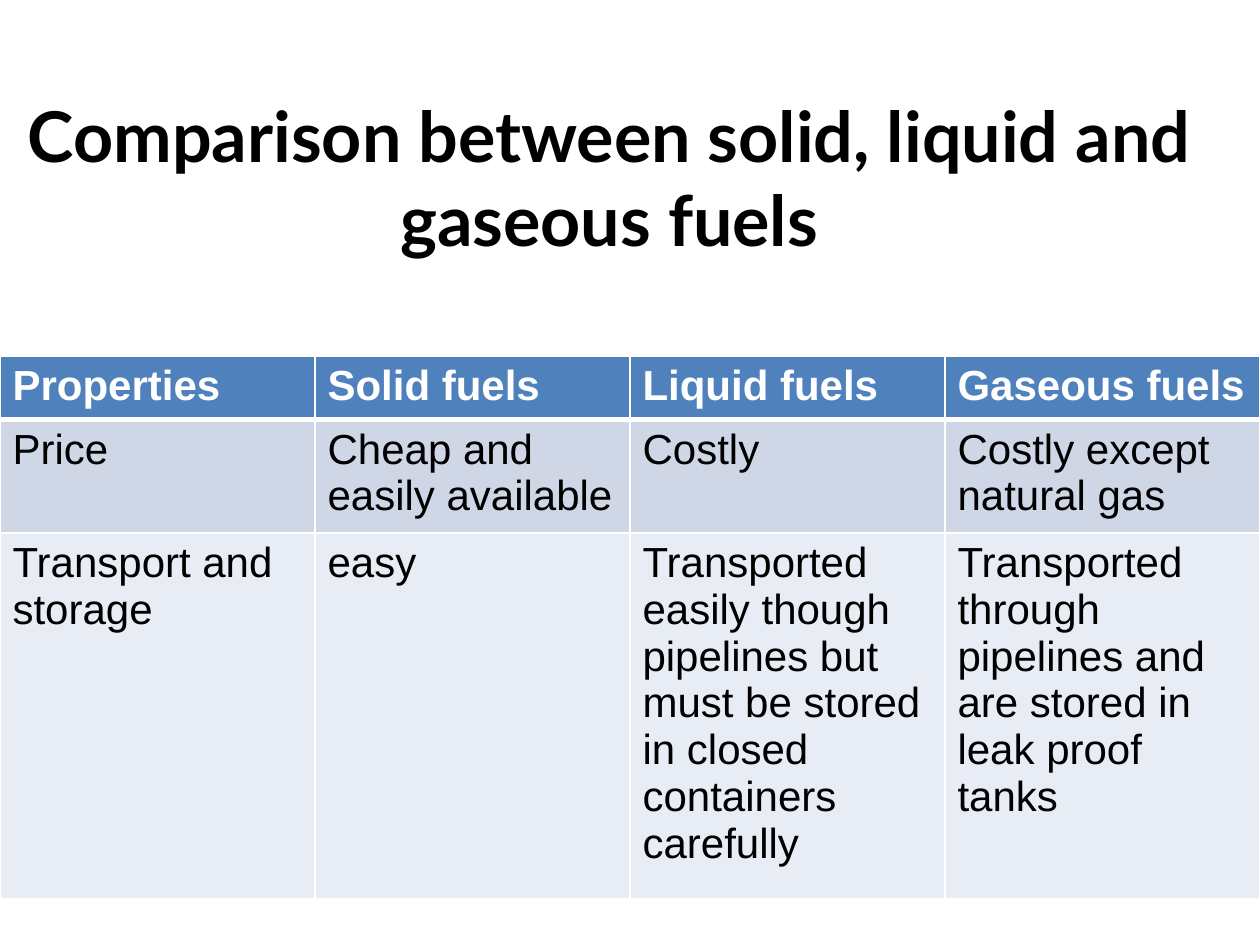
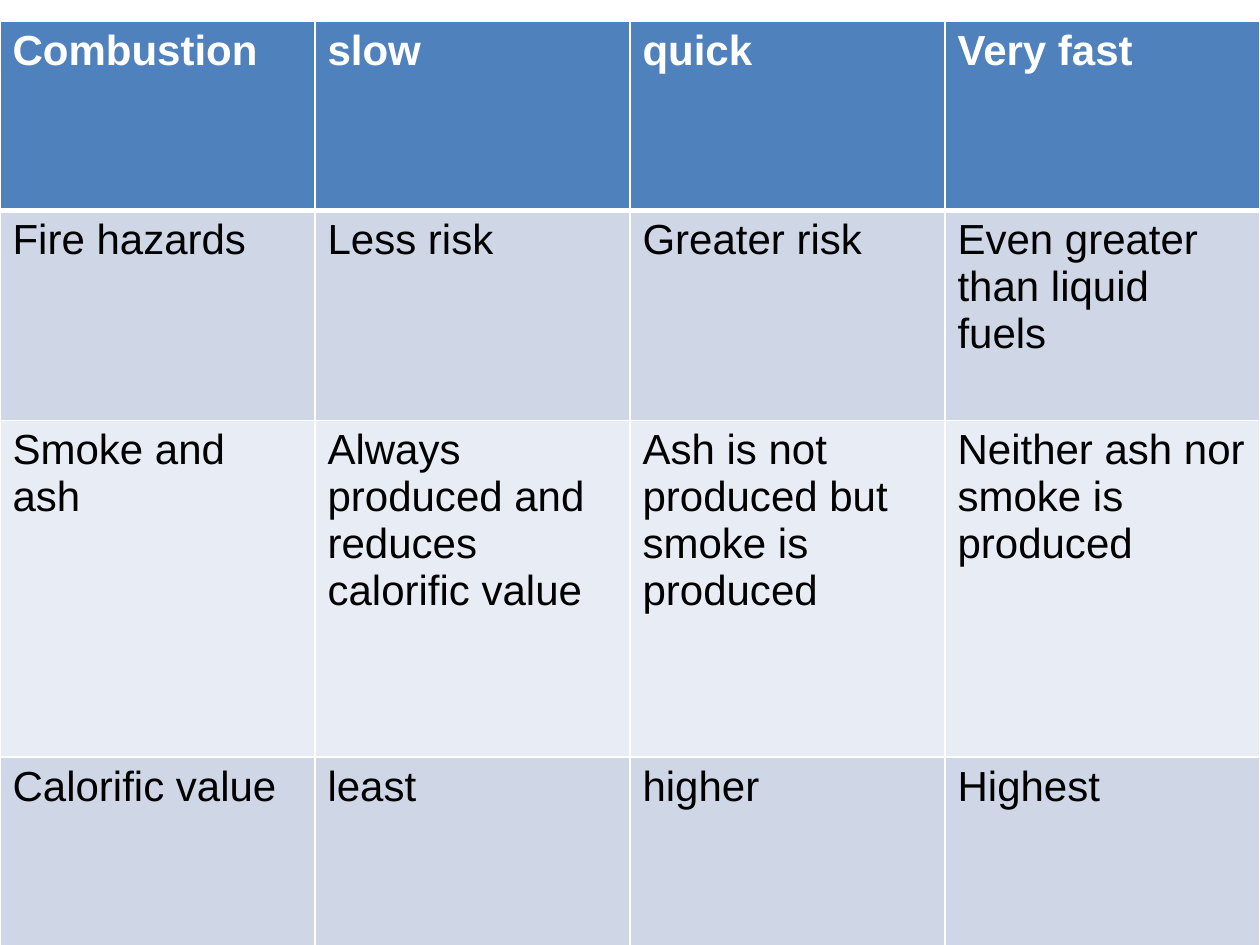
from dataclasses import dataclass

from lxml import etree
from pptx import Presentation
from pptx import util as u
from pptx.dml import color
from pptx.enum import text as t
from pptx.oxml import ns

HEADING = "Comparison between solid, liquid and gaseous fuels"
COMPARISONS = [
    {
        "heading": HEADING,
        "top": 7.19,
        "heights": [1.17, 2.03, 6.27],
        "rows": [
            ["Properties", "Solid fuels", "Liquid fuels", "Gaseous fuels"],
            ["Price", "Cheap and easily available", "Costly", "Costly except natural gas"],
            [
                "Transport and storage",
                "easy",
                "Transported easily though pipelines but must be stored in closed containers carefully",
                "Transported through pipelines and are stored in leak proof tanks",
            ],
        ],
    },
    {
        "heading": None,
        "top": 0.43,
        "heights": [3.81, 4.24, 6.78, 3.81],
        "rows": [
            ["Combustion", "slow", "quick", "Very fast"],
            ["Fire hazards", "Less risk", "Greater risk", "Even greater than liquid fuels"],
            [
                "Smoke and ash",
                "Always produced and reduces calorific value",
                "Ash is not produced but smoke is produced",
                "Neither ash nor smoke is produced",
            ],
            ["Calorific value", "least", "higher", "Highest"],
        ],
    },
]


@dataclass(frozen=True)
class Theme:
    white: str = "FFFFFF"
    ink: str = "000000"
    header: str = "4F81BD"
    bands: tuple = ("E8ECF4", "CFD7E7")
    heading_font: str = "Lato"
    body_font: str = "Arial"
    heading_size: int = 40
    body_size: int = 24
    rule: int = 1
    header_rule: int = 3


THEME = Theme()
PAGE_WIDTH, PAGE_HEIGHT = u.Cm(25.4), u.Cm(19.05)


def write(frame, words, font=THEME.body_font, size=THEME.body_size,
          ink=THEME.ink, bold=False, align=t.PP_ALIGN.LEFT):
    paragraph = frame.paragraphs[0]
    paragraph.alignment = align
    run = paragraph.add_run()
    run.text = words
    run.font.name = font
    run.font.size = u.Pt(size)
    run.font.bold = bold
    run.font.color.rgb = color.RGBColor.from_string(ink)


def rule_cell(cell, row):
    widths = {
        "lnL": THEME.rule,
        "lnR": THEME.rule,
        "lnT": THEME.header_rule if row == 1 else THEME.rule,
        "lnB": THEME.header_rule if row == 0 else THEME.rule,
    }
    properties = cell._tc.get_or_add_tcPr()
    for side, width in widths.items():
        edge = etree.SubElement(properties, ns.qn(f"a:{side}"), w=str(u.Pt(width)))
        paint = etree.SubElement(edge, ns.qn("a:solidFill"))
        etree.SubElement(paint, ns.qn("a:srgbClr"), val=THEME.white)


def add_heading(slide, words):
    box = slide.shapes.add_textbox(0, 0, u.Cm(24.56), u.Cm(18.21))
    frame = box.text_frame
    frame.word_wrap = True
    frame.vertical_anchor = t.MSO_ANCHOR.MIDDLE
    frame.margin_bottom = u.Cm(11.2)
    write(frame, words, font=THEME.heading_font, size=THEME.heading_size,
          bold=True, align=t.PP_ALIGN.CENTER)


def add_comparison(slide, top, heights, rows):
    columns = len(rows[0])
    table = slide.shapes.add_table(len(rows), columns, 0, u.Cm(top),
                                   PAGE_WIDTH, u.Cm(sum(heights))).table
    for r, (height, entries) in enumerate(zip(heights, rows)):
        table.rows[r].height = u.Cm(height)
        is_header = r == 0
        for c, entry in enumerate(entries):
            cell = table.cell(r, c)
            rule_cell(cell, r)
            cell.fill.solid()
            cell.fill.fore_color.rgb = color.RGBColor.from_string(
                THEME.header if is_header else THEME.bands[r % 2])
            write(cell.text_frame, entry, bold=is_header,
                  ink=THEME.white if is_header else THEME.ink)


def main():
    deck = Presentation()
    deck.slide_width, deck.slide_height = PAGE_WIDTH, PAGE_HEIGHT
    for comparison in COMPARISONS:
        slide = deck.slides.add_slide(deck.slide_layouts[6])
        if comparison["heading"]:
            add_heading(slide, comparison["heading"])
        add_comparison(slide, comparison["top"], comparison["heights"], comparison["rows"])
    deck.save("out.pptx")


if __name__ == "__main__":
    main()
